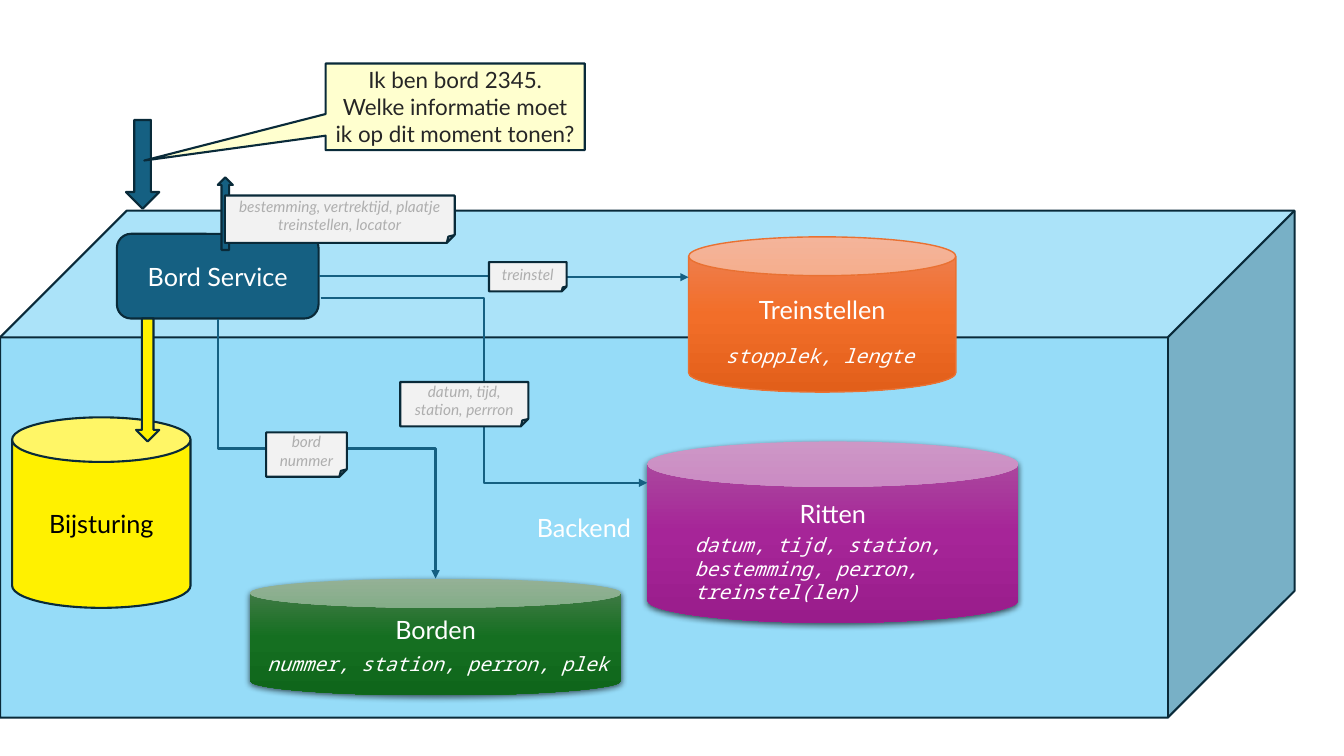
from dataclasses import dataclass
from typing import Optional

from lxml import etree
from pptx import Presentation
from pptx import util as u
from pptx.dml.color import RGBColor
from pptx.enum import shapes, text
from pptx.oxml.ns import qn

BLUE = RGBColor(0x15, 0x60, 0x82)
NAVY = RGBColor(0x09, 0x2A, 0x39)
SKY = RGBColor(0x96, 0xDC, 0xF8)
CREAM = RGBColor(0xFF, 0xFF, 0xCF)
YELLOW = RGBColor(0xFF, 0xF1, 0x00)
PAPER = RGBColor(0xF2, 0xF2, 0xF2)
GREY = RGBColor(0xAE, 0xAE, 0xAE)
CHARCOAL = RGBColor(0x26, 0x26, 0x26)
ORANGE = RGBColor(0xE9, 0x71, 0x32)
WHITE = RGBColor(0xFF, 0xFF, 0xFF)
BLACK = RGBColor(0, 0, 0)
GREENS = ("4D7E50", "156F21", "0F661B")
PURPLES = ("AC53A0", "A62598", "991C8B")
ORANGES = ("ED8257", "F26E29", "E25F1A")

Box = tuple[float, float, float, float]
Point = tuple[float, float]
Kind = shapes.MSO_SHAPE


@dataclass
class Block:
    kind: Kind
    box: Box
    fill: RGBColor
    label: str = ""
    size: int = 18
    color: RGBColor = WHITE
    italic: bool = False


@dataclass
class Database:
    box: Box
    gradient: tuple[str, str, str]
    label: str
    fields: str
    fields_box: Box
    field_lines: int = 1
    outline: Optional[RGBColor] = None


@dataclass
class Flow:
    start: Point
    end: Point
    turned: bool = False


def write(shape, content: str, size: int, color: RGBColor, italic: bool = False,
          font: str = "Lato", align=text.PP_ALIGN.CENTER) -> None:
    frame = shape.text_frame
    frame.word_wrap = True
    frame.text = content
    paragraph = frame.paragraphs[0]
    paragraph.alignment = align
    for run in paragraph.runs:
        run.font.name = font
        run.font.size = u.Pt(size)
        run.font.italic = italic
        run.font.color.rgb = color


def add_block(slide, block: Block):
    shape = slide.shapes.add_shape(block.kind, *map(u.Inches, block.box))
    shape.shadow.inherit = False
    shape.fill.solid()
    shape.fill.fore_color.rgb = block.fill
    shape.line.color.rgb = NAVY
    shape.line.width = u.Pt(1.5)
    if block.label:
        shape.text_frame.vertical_anchor = text.MSO_ANCHOR.MIDDLE
        write(shape, block.label, block.size, block.color, block.italic)
    return shape


def add_color(parent, value: str):
    return etree.SubElement(parent, qn("a:srgbClr"), val=value)


def add_database(slide, database: Database) -> None:
    can = slide.shapes.add_shape(Kind.CAN, *map(u.Inches, database.box))
    can.shadow.inherit = False
    properties = can._element.spPr

    # Vertical gradient in three stops
    can.fill.gradient()
    can.fill.gradient_angle = 270
    stops = properties.find(".//" + qn("a:gsLst"))
    for stop in list(stops):
        stops.remove(stop)
    for index, value in enumerate(database.gradient):
        add_color(etree.SubElement(stops, qn("a:gs"), pos=str(index * 50000)), value)

    # Either an outline or a soft shadow
    if database.outline is not None:
        can.line.color.rgb = database.outline
        can.line.width = u.Pt(1)
    else:
        can.line.fill.background()
        shadow = etree.SubElement(
            properties.find(qn("a:effectLst")), qn("a:outerShdw"),
            blurRad=str(u.Pt(4.5)), dist=str(u.Pt(1.5)), dir="5400000",
            algn="ctr", rotWithShape="0")
        etree.SubElement(add_color(shadow, "000000"), qn("a:alpha"), val="63000")

    # The label sits above the room kept for the fields
    can.text_frame.vertical_anchor = text.MSO_ANCHOR.MIDDLE
    can.text_frame.margin_bottom = u.Inches(0.05 + 0.3 * database.field_lines)
    write(can, database.label, 18, WHITE)
    fields = slide.shapes.add_textbox(*map(u.Inches, database.fields_box))
    write(fields, database.fields, 14, WHITE, True, "Noto Sans Mono", text.PP_ALIGN.LEFT)


def add_flow(slide, flow: Flow) -> None:
    (x1, y1), (x2, y2) = flow.start, flow.end
    if flow.turned:
        # Leaves downwards: the frame is laid out on its side, then rotated
        mid_x, mid_y = (x1 + x2) / 2, (y1 + y2) / 2
        half_w, half_h = (y2 - y1) / 2, (x2 - x1) / 2
        x1, y1, x2, y2 = mid_x + half_w, mid_y - half_h, mid_x - half_w, mid_y + half_h
    connector = slide.shapes.add_connector(
        shapes.MSO_CONNECTOR.ELBOW, *map(u.Inches, (x1, y1, x2, y2)))
    connector.line.color.rgb = BLUE
    connector.line.width = u.Pt(1.5)
    properties = connector._element.spPr
    if flow.turned:
        properties.find(qn("a:xfrm")).set("rot", str(270 * 60000))
    etree.SubElement(properties.find(qn("a:ln")), qn("a:tailEnd"), type="triangle")
    etree.SubElement(properties, qn("a:effectLst"))


def note(box: Box, label: str) -> Block:
    return Block(Kind.FOLDED_CORNER, box, PAPER, label, 11, GREY, True)


REQUEST = Block(Kind.DOWN_ARROW, (1.25, 1.19, 0.33, 0.88), BLUE)
BACKEND = Block(Kind.CUBE, (0, 2.09, 12.84, 5.03), SKY, "Backend")
QUESTION = Block(Kind.RECTANGULAR_CALLOUT, (3.23, 0.63, 2.57, 0.86), CREAM,
                 "Ik ben bord 2345. Welke informatie moet ik op dit moment tonen?",
                 16, CHARCOAL)
SERVICE = Block(Kind.ROUNDED_RECTANGLE, (1.16, 2.32, 2, 0.84), BLUE, "Bord Service")
RESPONSE = Block(Kind.UP_ARROW, (2.16, 1.76, 0.15, 0.72), BLUE)

DATABASES = [
    Database((2.48, 5.74, 3.68, 1.16), GREENS, "Borden",
             "nummer, station, perron, plek", (2.55, 6.42, 3.61, 0.34)),
    Database((6.42, 4.38, 3.68, 1.8), PURPLES, "Ritten",
             "datum, tijd, station,\vbestemming, perron,\vtreinstel(len)",
             (6.79, 5.24, 2.79, 0.81), field_lines=2),
    Database((6.83, 2.35, 2.65, 1.54), ORANGES, "Treinstellen",
             "stopplek, lengte", (7.1, 3.36, 2.6, 0.34), outline=ORANGE),
]
FLOWS = [
    Flow((2.16, 3.16), (4.32, 5.74), turned=True),
    Flow((3.18, 2.96), (6.42, 4.79)),
    Flow((3.16, 2.74), (6.83, 2.75)),
]
NOTES = [
    note((2.64, 4.29, 0.8, 0.44), "bord nummer"),
    note((3.97, 3.79, 1.27, 0.44), "datum, tijd, station, perrron"),
    note((4.85, 2.6, 0.77, 0.29), "treinstel"),
    note((2.23, 1.94, 2.28, 0.47), "bestemming, vertrektijd, plaatje treinstellen, locator"),
]
ADJUSTMENT = [
    Block(Kind.CAN, (0.12, 4.14, 1.77, 1.89), YELLOW, "Bijsturing", color=BLACK),
    Block(Kind.DOWN_ARROW, (1.35, 3.16, 0.23, 1.22), YELLOW),
]


def main() -> None:
    deck = Presentation()
    deck.slide_width, deck.slide_height = u.Inches(13.33), u.Inches(7.5)
    slide = deck.slides.add_slide(deck.slide_layouts[6])

    # Request, backend and service
    add_block(slide, REQUEST)
    add_block(slide, BACKEND)
    question = add_block(slide, QUESTION)
    question.adjustments[0], question.adjustments[1] = -1.2, 0.62
    add_block(slide, SERVICE)

    # Databases and the calls to them
    for database in DATABASES:
        add_database(slide, database)
    for flow in FLOWS:
        add_flow(slide, flow)

    # Response, notes and manual adjustment
    for block in [RESPONSE, *NOTES, *ADJUSTMENT]:
        add_block(slide, block)

    deck.save("out.pptx")


if __name__ == "__main__":
    main()
